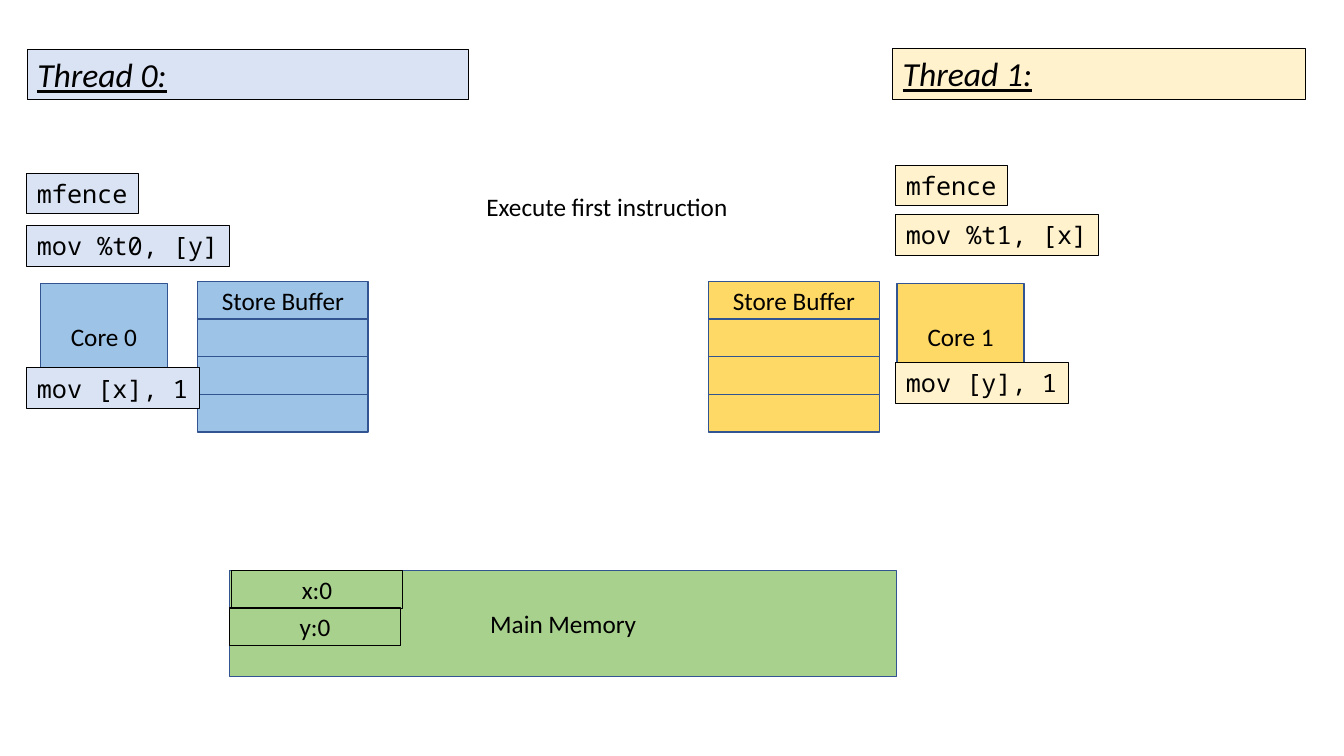
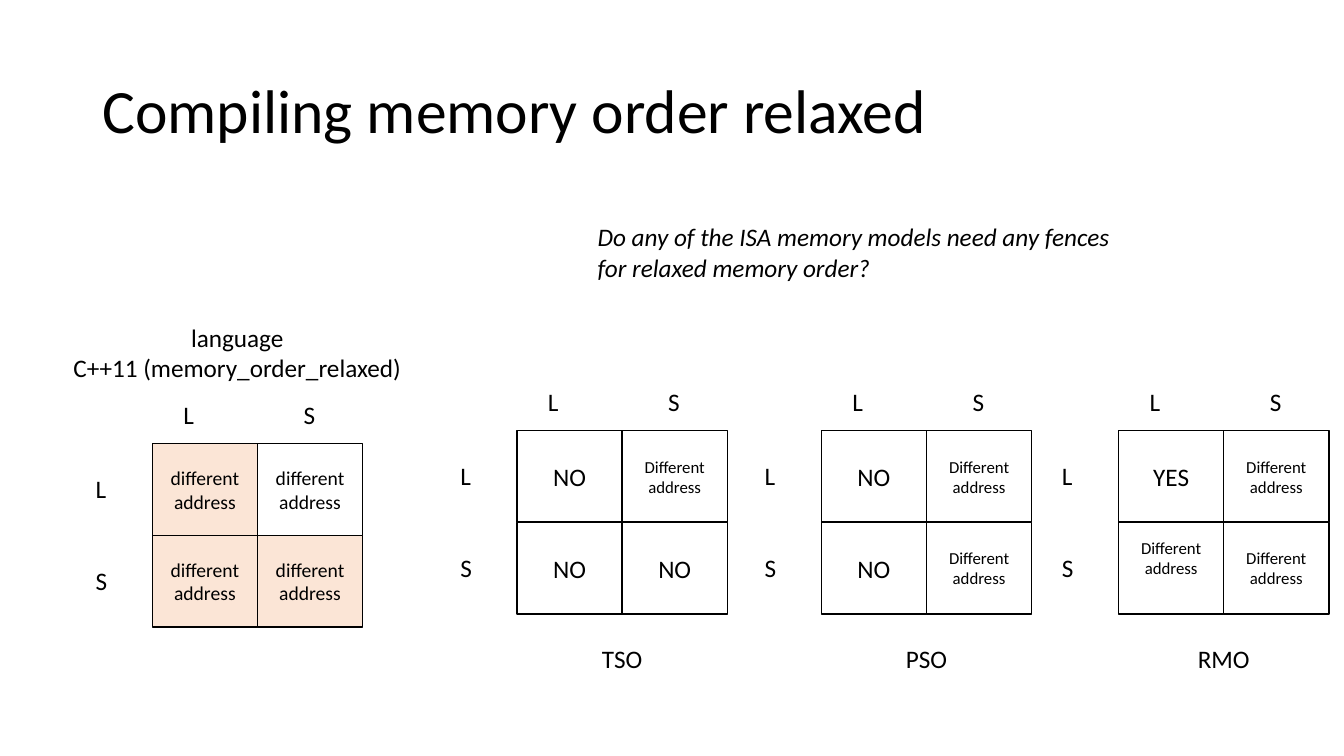
from pptx import Presentation
from pptx.dml.color import RGBColor
from pptx.enum.shapes import MSO_SHAPE
from pptx.enum.text import MSO_ANCHOR, MSO_AUTO_SIZE, PP_ALIGN
from pptx.util import Cm, Pt

BLACK = RGBColor(0x00, 0x00, 0x00)
WHITE = RGBColor(0xFF, 0xFF, 0xFF)
NAVY = RGBColor(0x32, 0x54, 0x91)
BLUE = RGBColor(0x9D, 0xC3, 0xE6)
PALE_BLUE = RGBColor(0xDA, 0xE3, 0xF3)
GOLD = RGBColor(0xFF, 0xD9, 0x66)
PALE_GOLD = RGBColor(0xFF, 0xF2, 0xCC)
GREEN = RGBColor(0xA9, 0xD1, 0x8E)
PEACH = RGBColor(0xFB, 0xE5, 0xD6)
FONT = "Calibri"
MONO = "Noto Sans Mono"


def write(tf, text, size=18, font=FONT, align=PP_ALIGN.LEFT, italic=False, underline=False):
    """Fill the first paragraph, with a line break at each newline."""
    p = tf.paragraphs[0]
    p.alignment = align
    for i, line in enumerate(text.split("\n")):
        if i:
            p.add_line_break()
        r = p.add_run()
        r.text = line
        r.font.name, r.font.size = font, Pt(size)
        r.font.italic, r.font.underline = italic, underline
        r.font.color.rgb = BLACK


def add_box(s, x, y, w, h, text="", fill=None, line=None, weight=1, label=False, wrap=True, **style):
    """Draw a centred cell, or a label that is left-aligned and fits its text."""
    pos = Cm(x), Cm(y), Cm(w), Cm(h)
    if line is None:
        sp = s.shapes.add_textbox(*pos)
    else:
        sp = s.shapes.add_shape(MSO_SHAPE.RECTANGLE, *pos)
        sp.shadow.inherit = False
        sp.line.color.rgb = line
        sp.line.width = Pt(weight)
        if fill is None:
            sp.fill.background()
        else:
            sp.fill.solid()
            sp.fill.fore_color.rgb = fill
    tf = sp.text_frame
    tf.word_wrap = wrap
    tf.vertical_anchor = MSO_ANCHOR.TOP if label else MSO_ANCHOR.MIDDLE
    tf.auto_size = MSO_AUTO_SIZE.SHAPE_TO_FIT_TEXT if label else MSO_AUTO_SIZE.NONE
    style.setdefault("align", PP_ALIGN.LEFT if label else PP_ALIGN.CENTER)
    if text:
        write(tf, text, **style)
    return sp


prs = Presentation()
prs.slide_width, prs.slide_height = Cm(33.87), Cm(19.05)

# Slide 1: two threads, their cores and store buffers
s = prs.slides.add_slide(prs.slide_layouts[6])
SLOT_W, SLOT_H = 4.3, 0.95
LABEL_H = 1.02

threads = [
    # name, fill, pale fill, buffer x, core x, header (x, y, width), code x, code lines
    ("0", BLUE, PALE_BLUE, 4.98, 1.02, (0.69, 1.24, 11.13), 0.68,
     [("mfence", 4.37, 2.82), ("mov %t0, [y]", 5.69, 5.11), ("mov [x], 1", 9.27, 4.34)]),
    ("1", GOLD, PALE_GOLD, 17.86, 22.61, (22.5, 1.22, 10.41), 22.58,
     [("mfence", 4.17, 2.82), ("mov %t1, [x]", 5.41, 5.11), ("mov [y], 1", 9.14, 4.34)]),
]
for name, fill, pale, buffer_x, core_x, (x, y, w), code_x, code in threads:
    for i, text in enumerate(["Store Buffer", "", "", ""]):
        add_box(s, buffer_x, 7.09 + i * SLOT_H, SLOT_W, SLOT_H, text, fill, NAVY)
    add_box(s, core_x, 7.14, 3.2, 2.67, f"Core {name}", fill, NAVY)
    add_box(s, x, y, w, 1.28, f"Thread {name}:", pale, BLACK, 0.75, label=True,
            size=24, italic=True, underline=True)
    for text, y, w in code:
        add_box(s, code_x, y, w, LABEL_H, text, pale, BLACK, 0.75, label=True, wrap=False, font=MONO)

add_box(s, 5.79, 14.38, 16.81, 2.67, "Main Memory", GREEN, NAVY)
add_box(s, 5.84, 14.38, SLOT_W, SLOT_H, "x:0", GREEN, BLACK)
add_box(s, 5.79, 15.32, SLOT_W, SLOT_H, "y:0", GREEN, BLACK)
add_box(s, 12.01, 4.7, 6.65, LABEL_H, "Execute first instruction", label=True, wrap=False)

# Slide 2: reordering matrices of the language and three memory models
s = prs.slides.add_slide(prs.slide_layouts[5])
title = s.shapes.title
title.left, title.top, title.width, title.height = Cm(2.33), Cm(1.01), Cm(29.21), Cm(3.68)
tf = title.text_frame
tf.word_wrap = True
tf.auto_size = MSO_AUTO_SIZE.NONE
tf.vertical_anchor = MSO_ANCHOR.MIDDLE
write(tf, "Compiling memory order relaxed", size=44)
tf.paragraphs[0].line_spacing = 0.9

add_box(s, 1.55, 8, 8.86, 1.8, "language\nC++11 (memory_order_relaxed)",
        label=True, wrap=False, align=PP_ALIGN.CENTER)
add_box(s, 14.81, 5.46, 13.74, 1.8,
        "Do any of the ISA memory models need any fences\nfor relaxed memory order?",
        label=True, wrap=False, italic=True)

CELL_W, CELL_H = 2.65, 2.31
MODEL_W = 2.4
LANG = "different\naddress"
DIFF = "Different address"
SIZES = {LANG: 14, DIFF: 12}
matrices = [
    # model, x, y, cells by row, fills by row
    ("", 3.84, 11.18, [LANG] * 4, [PEACH, None, PEACH, PEACH]),
    ("TSO", 13.03, 10.85, ["NO", DIFF, "NO", "NO"], [WHITE] * 4),
    ("PSO", 20.7, 10.85, ["NO", DIFF, "NO", DIFF], [WHITE] * 4),
    ("RMO", 28.19, 10.85, ["YES", DIFF, DIFF, DIFF], [WHITE] * 4),
]
for model, x, y, cells, fills in matrices:
    for i, (text, fill) in enumerate(zip(cells, fills)):
        row, col = divmod(i, 2)
        sp = add_box(s, x + col * CELL_W, y + row * CELL_H, CELL_W, CELL_H, text, fill, BLACK,
                     size=SIZES.get(text, 18))
        if model == "RMO" and (row, col) == (1, 0):
            sp.text_frame.margin_bottom = Cm(0.64)  # this entry sits above the middle
    for i, op in enumerate("LS"):
        add_box(s, x + 0.53 + i * 3.03, y - 1.24, 0.8, LABEL_H, op, label=True, wrap=False)
        add_box(s, x - 1.68, y + 0.63 + i * CELL_H, 0.8, LABEL_H, op, label=True, wrap=False)
    if model:
        add_box(s, x + CELL_W - MODEL_W / 2, y + 5.23, MODEL_W, LABEL_H, model,
                label=True, wrap=False, align=PP_ALIGN.CENTER)

prs.save("out.pptx")
